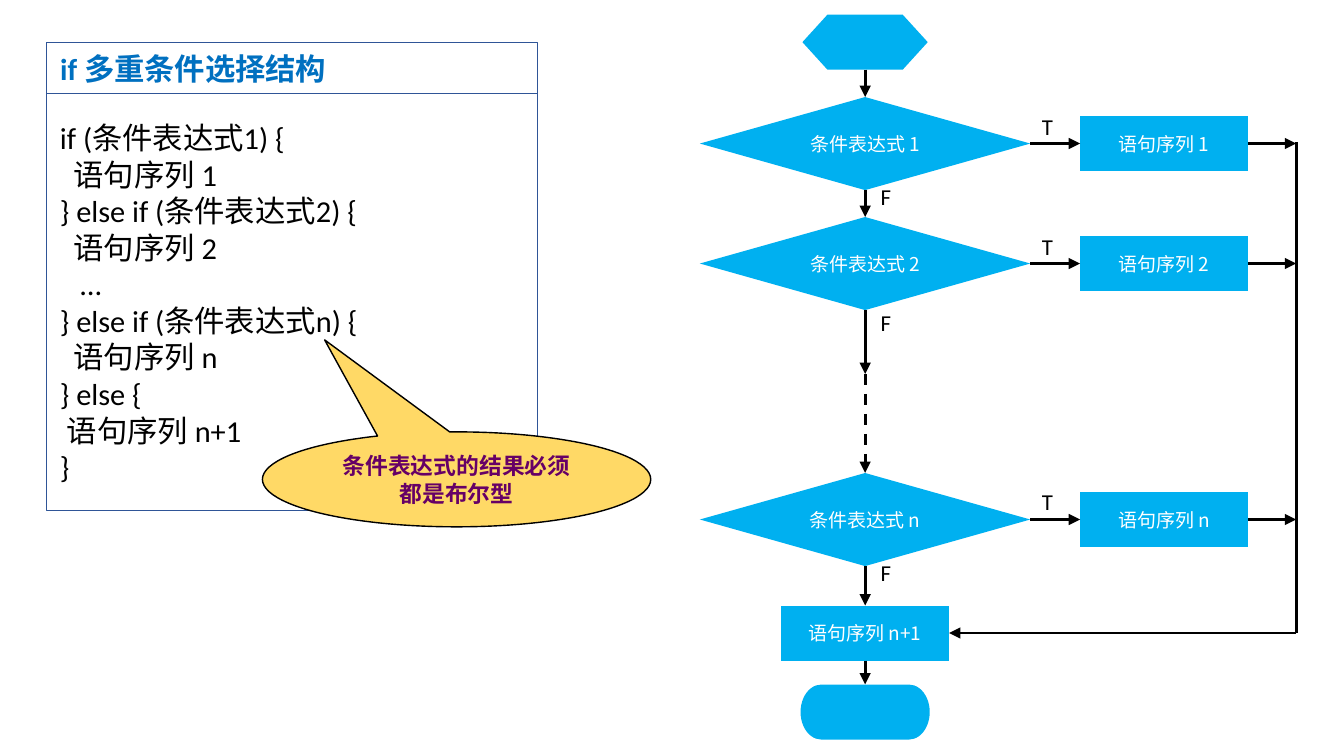
from typing import NamedTuple

from lxml.etree import SubElement
from pptx import Presentation
from pptx.dml.color import RGBColor
from pptx.enum.dml import MSO_LINE
from pptx.enum.shapes import MSO_CONNECTOR, MSO_SHAPE as SHAPE
from pptx.enum.text import MSO_ANCHOR as ANCHOR, MSO_AUTO_SIZE, PP_ALIGN as ALIGN
from pptx.oxml.ns import qn
from pptx.util import Pt

COLORS = {"flow": "00B0F0", "frame": "2F5597", "title": "0070C0", "black": "000000",
          "white": "FFFFFF", "callout": "FFD966", "note": "660066"}
LATIN, CJK = "Calibri", "Noto Sans CJK SC"

AXIS_X, BUS_X = 455.6, 682.6
DIAMOND_W, DIAMOND_H = 174, 49
STEP_W, STEP_H, STEP_X = 88.5, 29, 613
START_W, END_W = 66, 68
START_Y, LAST_Y, END_Y = 22.2, 333.4, 375
DOTS_Y = 197
CODE_X, CODE_W = 24.5, 258.5


class Branch(NamedTuple):
    """One condition of the chain with its statement."""
    name: str
    y: float
    false_label_y: float


class CodeLine(NamedTuple):
    """A line of the syntax box and its indent in points."""
    text: str
    indent: float = 0


BRANCHES = [Branch("1", 75.6, 92.9), Branch("2", 138.8, 159.1), Branch("n", 273.6, 290.9)]
CODE = [
    CodeLine("if (条件表达式1) {"),
    CodeLine("语句序列 1", 7.2),
    CodeLine("} else if (条件表达式2) {"),
    CodeLine("语句序列 2", 7.2),
    CodeLine("…", 10.8),
    CodeLine("} else if (条件表达式n) {"),
    CodeLine("语句序列 n", 7.2),
    CodeLine("} else {"),
    CodeLine("语句序列 n+1", 3.6),
    CodeLine("}"),
]


def rgb(name: str) -> RGBColor:
    """Look up a colour of the palette."""
    return RGBColor.from_string(COLORS[name])


def write(sp, lines: list[CodeLine], *, size: float, color: str, font: str = CJK,
          bold: bool = False, align=ALIGN.LEFT, anchor=ANCHOR.MIDDLE,
          wrap: bool = True, spacing=1.0) -> None:
    """Fill a shape with formatted paragraphs."""
    tf = sp.text_frame
    tf.auto_size = MSO_AUTO_SIZE.NONE
    tf.word_wrap, tf.vertical_anchor = wrap, anchor
    tf.margin_left = tf.margin_right = Pt(7.2)
    tf.margin_top = tf.margin_bottom = Pt(3.6)
    for i, line in enumerate(lines):
        p = tf.add_paragraph() if i else tf.paragraphs[0]
        p.alignment, p.line_spacing = align, spacing
        p.space_before = p.space_after = Pt(0)
        if line.indent:
            p._p.get_or_add_pPr().set("marL", str(int(Pt(line.indent))))
        r = p.add_run()
        r.text = line.text
        r.font.size, r.font.bold, r.font.name = Pt(size), bold, font
        r.font.color.rgb = rgb(color)
        SubElement(r._r.get_or_add_rPr(), qn("a:ea"), typeface=CJK)


def outline(sp, color: str) -> None:
    """Give a shape a thin outline."""
    sp.line.color.rgb = rgb(color)
    sp.line.width = Pt(0.75)


def add_box(shapes, kind, x: float, y: float, w: float, h: float,
            fill: str | None = None, line: str | None = None):
    """Add a preset shape centred on x, y."""
    sp = shapes.add_shape(kind, Pt(x - w / 2), Pt(y - h / 2), Pt(w), Pt(h))
    sp.shadow.inherit = False
    if fill:
        sp.fill.solid()
        sp.fill.fore_color.rgb = rgb(fill)
    else:
        sp.fill.background()
    if line:
        outline(sp, line)
    else:
        sp.line.fill.background()
    return sp


def add_node(shapes, kind, text: str, x: float, y: float, w: float, h: float) -> None:
    """Add a flowchart node, with its text if there is any."""
    sp = add_box(shapes, kind, x, y, w, h, fill="flow")
    if text:
        write(sp, [CodeLine(text)], size=10, color="white", align=ALIGN.CENTER)


def add_line(shapes, x1: float, y1: float, x2: float, y2: float, *,
             arrow: bool = True, dashed: bool = False) -> None:
    """Add a straight flow line."""
    c = shapes.add_connector(MSO_CONNECTOR.STRAIGHT, Pt(x1), Pt(y1), Pt(x2), Pt(y2))
    c.line.color.rgb, c.line.width = rgb("black"), Pt(1.5)
    if dashed:
        c.line.dash_style = MSO_LINE.DASH
    if arrow:
        SubElement(c.line._get_or_add_ln(), qn("a:tailEnd"), type="triangle")
    SubElement(c._element.spPr, qn("a:effectLst"))


def add_label(shapes, text: str, x: float, y: float) -> None:
    """Add a T or F label beside a flow line."""
    sp = shapes.add_textbox(Pt(x), Pt(y), Pt(23), Pt(23))
    write(sp, [CodeLine(text)], size=12, color="black", font=LATIN,
          anchor=ANCHOR.TOP, wrap=False)


def draw_syntax(shapes) -> None:
    """Draw the title and the framed syntax below it."""
    title = shapes.title
    title.left, title.top, title.width, title.height = Pt(CODE_X), Pt(22.5), Pt(CODE_W), Pt(26.8)
    outline(title, "frame")
    write(title, [CodeLine("if 多重条件选择结构")], size=16, color="title", font=LATIN, bold=True)
    sp = add_box(shapes, SHAPE.RECTANGLE, CODE_X + CODE_W / 2, 159, CODE_W, 219.6, line="frame")
    write(sp, CODE, size=16, color="black", font=LATIN, spacing=Pt(19.25))


def draw_flowchart(shapes) -> None:
    """Draw the chain of conditions and the line that joins its branches."""
    half_d, half_s = DIAMOND_H / 2, STEP_H / 2
    add_node(shapes, SHAPE.FLOWCHART_PREPARATION, "", AXIS_X, START_Y, START_W, STEP_H)
    for b in BRANCHES:
        add_node(shapes, SHAPE.FLOWCHART_DECISION, f"条件表达式 {b.name}",
                 AXIS_X, b.y, DIAMOND_W, DIAMOND_H)
        add_node(shapes, SHAPE.FLOWCHART_PROCESS, f"语句序列 {b.name}",
                 STEP_X, b.y, STEP_W, STEP_H)
        add_line(shapes, AXIS_X + DIAMOND_W / 2, b.y, STEP_X - STEP_W / 2, b.y)
        add_line(shapes, STEP_X + STEP_W / 2, b.y, BUS_X, b.y)
        add_label(shapes, "T", 541.5, b.y - 20)
        add_label(shapes, "F", AXIS_X + 1, b.false_label_y)
    add_node(shapes, SHAPE.FLOWCHART_PROCESS, "语句序列 n+1", AXIS_X, LAST_Y, STEP_W, STEP_H)
    add_node(shapes, SHAPE.FLOWCHART_TERMINATOR, "", AXIS_X, END_Y, END_W, STEP_H)

    first, second, last = (b.y for b in BRANCHES)
    for top, bottom in [(START_Y + half_s, first - half_d),
                        (first + half_d, second - half_d),
                        (second + half_d, DOTS_Y),
                        (last + half_d, LAST_Y - half_s),
                        (LAST_Y + half_s, END_Y - half_s)]:
        add_line(shapes, AXIS_X, top, AXIS_X, bottom)
    add_line(shapes, AXIS_X, DOTS_Y, AXIS_X, last - half_d, dashed=True)
    add_line(shapes, BUS_X, first - 0.7, BUS_X, LAST_Y, arrow=False)
    add_line(shapes, BUS_X, LAST_Y, AXIS_X + STEP_W / 2, LAST_Y)


def draw_callout(shapes) -> None:
    """Draw the remark that points at the last condition."""
    sp = add_box(shapes, SHAPE.OVAL_CALLOUT, 240.5, 252.5, 204.5, 50,
                 fill="callout", line="black")
    sp.adjustments[0], sp.adjustments[1] = -0.34, -1.47
    write(sp, [CodeLine("条件表达式的结果必须都是布尔型")], size=12, color="note",
          bold=True, align=ALIGN.CENTER, spacing=Pt(14.7))


def main() -> None:
    """Build the slide and save it."""
    prs = Presentation()
    prs.slide_width, prs.slide_height = Pt(707.76), Pt(398.16)
    s = prs.slides.add_slide(prs.slide_layouts[5])
    draw_syntax(s.shapes)
    draw_flowchart(s.shapes)
    draw_callout(s.shapes)
    prs.save("out.pptx")


main()
